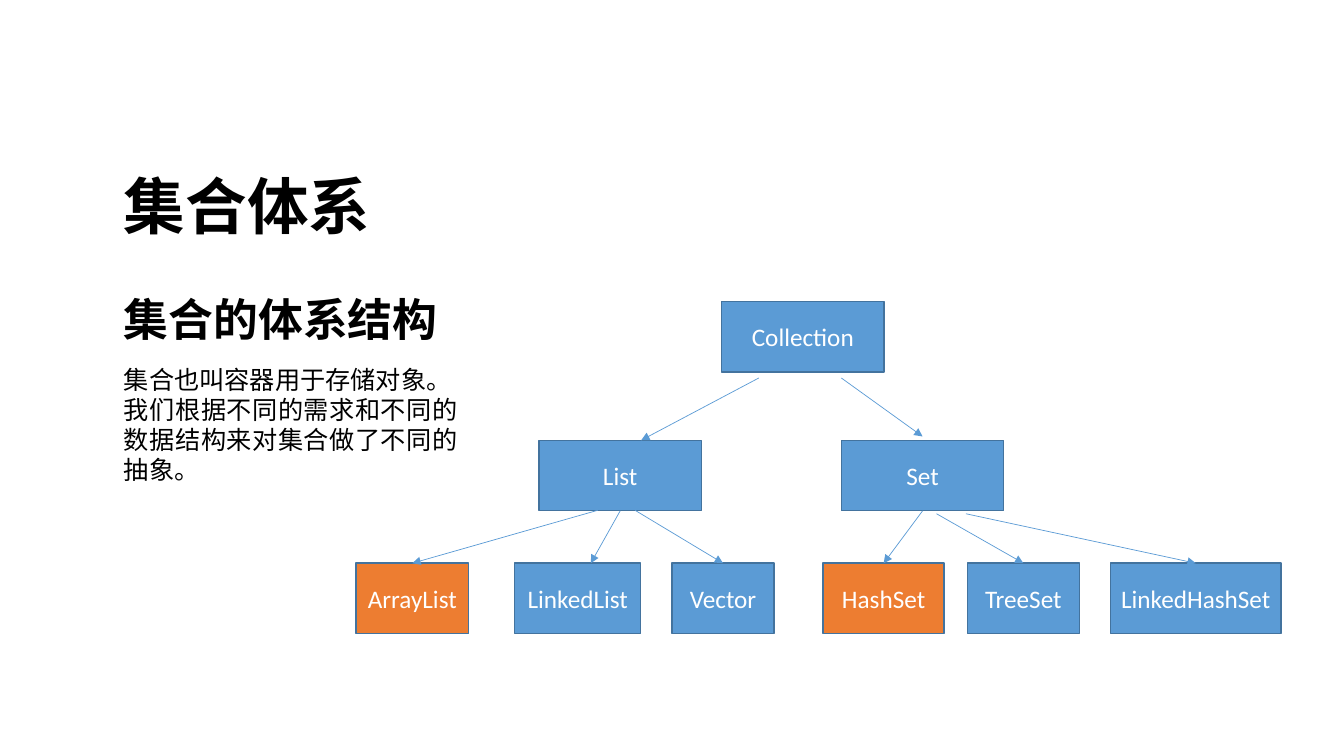
import dataclasses

import pptx
import pptx.dml.color
import pptx.enum.lang
import pptx.enum.shapes
import pptx.enum.text
import pptx.oxml.ns
import pptx.util
from lxml import etree

Pt = pptx.util.Pt
Align = pptx.enum.text.PP_ALIGN
Anchor = pptx.enum.text.MSO_ANCHOR


@dataclasses.dataclass(frozen=True)
class Theme:
    font: str = "Calibri"
    ink: str = "000000"
    paper: str = "FFFFFF"
    blue: str = "5B9BD5"
    orange: str = "ED7D31"
    border: str = "43739E"
    title_size: int = 44
    heading_size: int = 32
    body_size: int = 18


THEME = Theme()
BOX_HEIGHT = 50.4
TOP, BOTTOM = 0, 2
ROOT_Y, BRANCH_Y, LEAF_Y = 215.3, 314.5, 402.3

# Name: left, top, width, fill
BOXES = {
    "Collection": (515.5, ROOT_Y, 116, THEME.blue),
    "List": (385, ROOT_Y + 99.2, 116, THEME.blue),
    "Set": (601, BRANCH_Y, 116, THEME.blue),
    "ArrayList": (254.3, LEAF_Y, 80.5, THEME.orange),
    "LinkedList": (367.7, LEAF_Y, 90, THEME.blue),
    "Vector": (480, LEAF_Y, 73, THEME.blue),
    "HashSet": (588, LEAF_Y, 86.4, THEME.orange),
    "TreeSet": (691, LEAF_Y, 80, THEME.blue),
    "LinkedHashSet": (793.3, LEAF_Y, 121.7, THEME.blue),
}

# Each end is a box to join or a free point
ARROWS = [
    ((542, 270), (458, BRANCH_Y)),
    ((601, 270), (659, 311.8)),
    ((427, 364.5), "ArrayList"),
    ("List", (422, LEAF_Y)),
    ((453.6, 364.5), "Vector"),
    ("Set", "HashSet"),
    ((669, 367), "TreeSet"),
    ((690, 367), "LinkedHashSet"),
]


def color(value):
    return pptx.dml.color.RGBColor.from_string(value)


def style_paragraph(para, size, ink, align, bold=False):
    para.alignment = align
    for span in para.runs:
        span.font.name = THEME.font
        span.font.size = Pt(size)
        span.font.bold = bold
        span.font.color.rgb = color(ink)
        span.font.language_id = pptx.enum.lang.MSO_LANGUAGE_ID.SIMPLIFIED_CHINESE


def add_text(page, left, top, width, height, text, anchor):
    box = page.shapes.add_textbox(Pt(left), Pt(top), Pt(width), Pt(height))
    frame = box.text_frame
    frame.word_wrap = True
    frame.vertical_anchor = anchor
    frame.text = text
    return frame.paragraphs


def add_box(page, name, left, top, width, fill):
    box = page.shapes.add_shape(
        pptx.enum.shapes.MSO_SHAPE.RECTANGLE,
        Pt(left), Pt(top), Pt(width), Pt(BOX_HEIGHT))
    box.shadow.inherit = False
    box.fill.solid()
    box.fill.fore_color.rgb = color(fill)
    box.line.color.rgb = color(THEME.border)
    box.line.width = Pt(1)
    frame = box.text_frame
    frame.margin_left = frame.margin_right = 0
    frame.vertical_anchor = Anchor.MIDDLE
    frame.text = name
    style_paragraph(frame.paragraphs[0], THEME.body_size, THEME.paper, Align.CENTER)
    return box


def add_arrow(page, boxes, start, end):
    x1, y1 = (0, 0) if start in boxes else start
    x2, y2 = (0, 0) if end in boxes else end
    arrow = page.shapes.add_connector(
        pptx.enum.shapes.MSO_CONNECTOR.STRAIGHT, Pt(x1), Pt(y1), Pt(x2), Pt(y2))
    if start in boxes:
        arrow.begin_connect(boxes[start], BOTTOM)
    if end in boxes:
        arrow.end_connect(boxes[end], TOP)
    arrow.line.color.rgb = color(THEME.blue)
    arrow.line.width = Pt(0.5)
    qn = pptx.oxml.ns.qn
    etree.SubElement(arrow.line._get_or_add_ln(), qn("a:tailEnd"), type="triangle")
    etree.SubElement(arrow._element.spPr, qn("a:effectLst"))


def main():
    deck = pptx.Presentation()
    deck.slide_width, deck.slide_height = Pt(960), Pt(540)
    page = deck.slides.add_slide(deck.slide_layouts[6])

    # Title
    title, = add_text(page, 81.4, 100.8, 758, 76.3, "集合体系", Anchor.BOTTOM)
    title.line_spacing = 0.9
    style_paragraph(title, THEME.title_size, THEME.ink, Align.LEFT, bold=True)

    # Heading and explanation
    heading, *body = add_text(
        page, 81.4, 177, 252.7, 175,
        "集合的体系结构\n"
        "集合也叫容器用于存储对象。\n"
        "我们根据不同的需求和不同的数据结构来对集合做了不同的抽象。",
        Anchor.TOP)
    heading.line_spacing = 1.73
    heading.space_before = heading.space_after = Pt(13)
    style_paragraph(heading, THEME.heading_size, THEME.ink, Align.JUSTIFY, bold=True)
    for para in body:
        style_paragraph(para, THEME.body_size, THEME.ink, Align.JUSTIFY)

    # Class tree
    boxes = {name: add_box(page, name, *place) for name, place in BOXES.items()}
    for start, end in ARROWS:
        add_arrow(page, boxes, start, end)

    deck.save("out.pptx")


if __name__ == "__main__":
    main()
